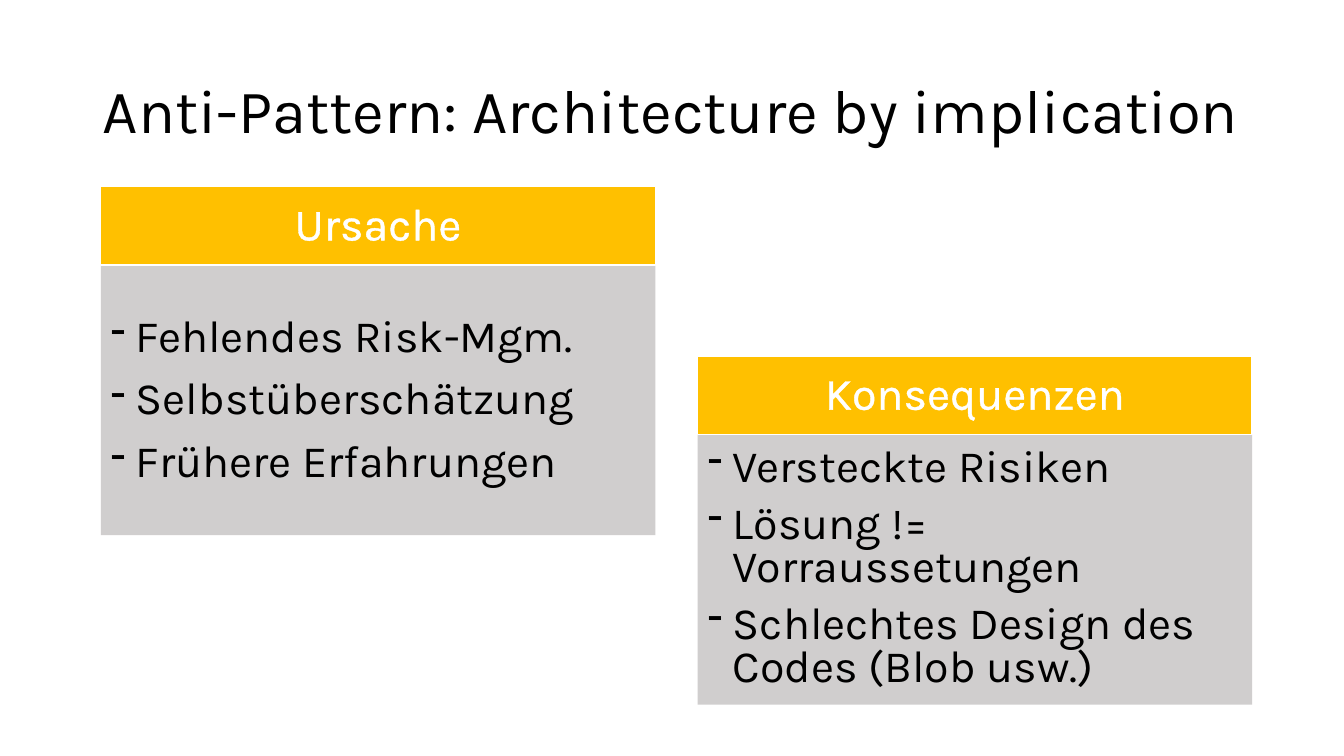
import pptx
import pptx.util
import pptx.dml.color
import pptx.enum.shapes
import pptx.enum.text
import lxml.etree
from dataclasses import dataclass

Inches = pptx.util.Inches
Pt = pptx.util.Pt
Rgb = pptx.dml.color.RGBColor
Align = pptx.enum.text.PP_ALIGN
NS = "http://schemas.openxmlformats.org/drawingml/2006/main"


@dataclass(frozen=True)
class Theme:
    font: str = "Karla"
    ink: Rgb = Rgb(0, 0, 0)
    white: Rgb = Rgb(255, 255, 255)
    gold: Rgb = Rgb.from_string("FFC000")
    gray: Rgb = Rgb.from_string("D0CECE")
    title: int = 44
    text: int = 32


THEME = Theme()


def style(para, size, color, align, pitch=0.9, before=10):
    para.alignment = align
    para.line_spacing = pitch
    para.space_before = Pt(before)
    para.font.name = THEME.font
    para.font.size = Pt(size)
    para.font.color.rgb = color


def bullet(para):
    props = para._p.get_or_add_pPr()
    props.set("marL", str(Inches(0.25)))
    props.set("indent", str(-Inches(0.25)))
    lxml.etree.SubElement(props, f"{{{NS}}}buChar", char="-")


def outline(run):
    line = lxml.etree.Element(f"{{{NS}}}ln", w="0")
    fill = lxml.etree.SubElement(line, f"{{{NS}}}solidFill")
    lxml.etree.SubElement(fill, f"{{{NS}}}srgbClr", val=str(THEME.white))
    run._r.get_or_add_rPr().insert(0, line)


def block(slide, left, top, width, height, color):
    shape = slide.shapes.add_shape(
        pptx.enum.shapes.MSO_SHAPE.RECTANGLE,
        Inches(left), Inches(top), Inches(width), Inches(height))
    shape.shadow.inherit = False
    shape.fill.solid()
    shape.fill.fore_color.rgb = color
    shape.line.fill.background()
    frame = shape.text_frame
    frame.word_wrap = True
    frame.vertical_anchor = pptx.enum.text.MSO_ANCHOR.MIDDLE
    return shape


def heading(slide, text, left, top, width, height):
    title = slide.shapes.title
    title.left, title.top = Inches(left), Inches(top)
    title.width, title.height = Inches(width), Inches(height)
    frame = title.text_frame
    frame.text = text
    frame.word_wrap = True
    frame.auto_size = pptx.enum.text.MSO_AUTO_SIZE.NONE
    frame.vertical_anchor = pptx.enum.text.MSO_ANCHOR.MIDDLE
    style(frame.paragraphs[0], THEME.title, THEME.ink, Align.LEFT, before=0)


def card(slide, label, items, pitch, left, top, width, height):
    head = 0.78
    body = block(slide, left, top + head, width, height - head, THEME.gray)
    body.text_frame.text = "\n".join(items)
    for para in body.text_frame.paragraphs:
        bullet(para)
        style(para, THEME.text, THEME.ink, Align.LEFT, pitch)

    bar = block(slide, left, top, width, head, THEME.gold)
    bar.line.color.rgb = THEME.white
    bar.line.width = Pt(1)
    bar.text_frame.text = label
    para = bar.text_frame.paragraphs[0]
    style(para, THEME.text, THEME.white, Align.CENTER)
    outline(para.runs[0])


def main():
    deck = pptx.Presentation()
    deck.slide_width, deck.slide_height = Inches(13.33), Inches(7.5)
    slide = deck.slides.add_slide(deck.slide_layouts[5])
    heading(slide, "Anti-Pattern: Architecture by implication",
            0.92, 0.4, 11.5, 1.45)
    card(slide, "Ursache",
         ["Fehlendes Risk-Mgm.", "Selbstüberschätzung", "Frühere Erfahrungen"],
         0.9, 1, 1.85, 5.5, 3.46)
    card(slide, "Konsequenzen",
         ["Versteckte Risiken", "Lösung != Vorraussetungen",
          "Schlechtes Design des Codes (Blob usw.)"],
         0.8, 6.92, 3.53, 5.5, 3.46)
    deck.save("out.pptx")


if __name__ == "__main__":
    main()
